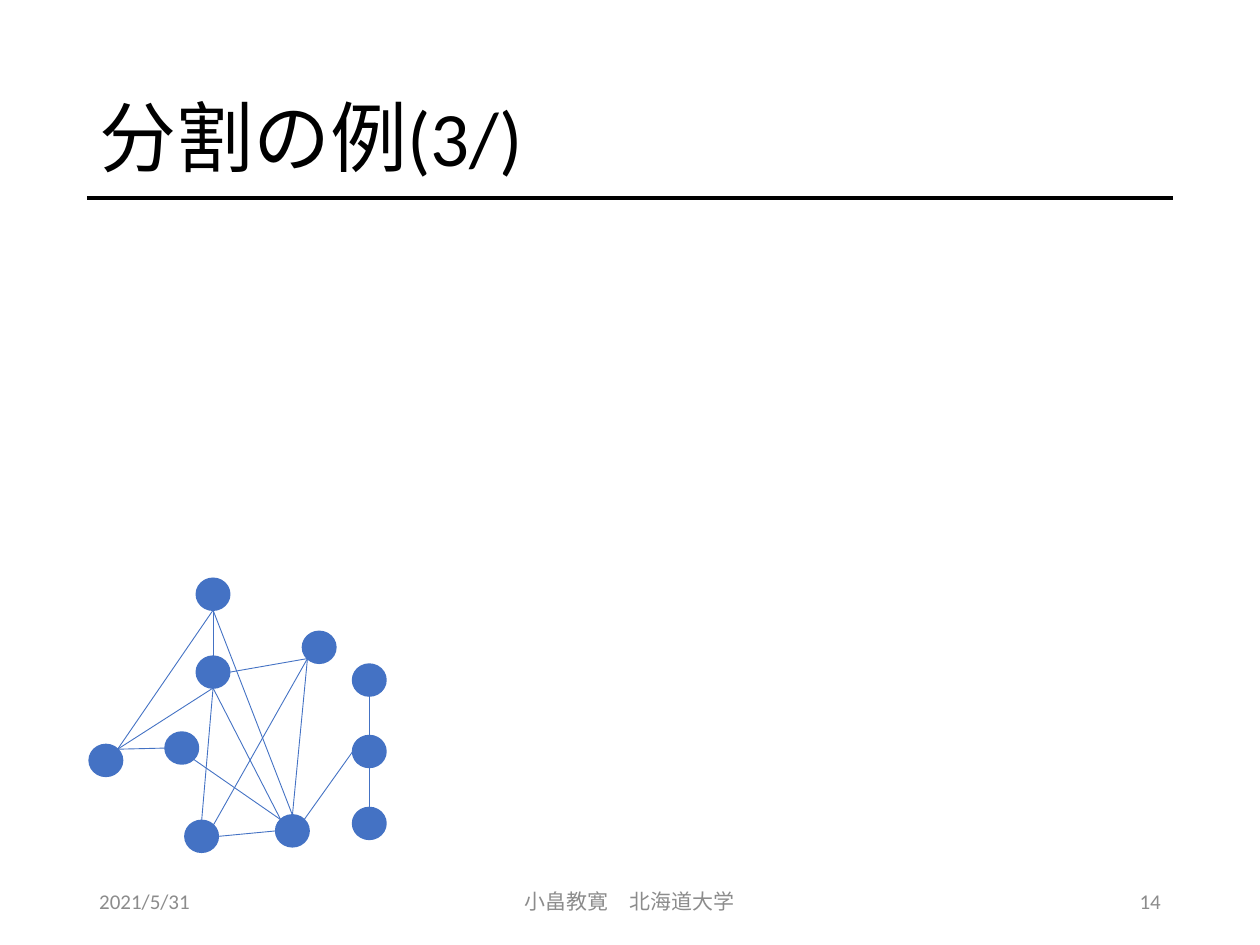
import math

import pptx
import pptx.dml.color
import pptx.enum.shapes
import pptx.enum.text
import pptx.oxml
import pptx.util

Cm, Pt = pptx.util.Cm, pptx.util.Pt
Align = pptx.enum.text.PP_ALIGN
BLUE, BLACK, GREY = "4472C4", "000000", "8C8C8C"
WIDE, HIGH = 0.67, 0.64
LEFT, RIGHT = 1.75, 23.65

# Left and top of each node, in cm
NODES = {
    "a": (1.8, 15.01), "b": (3.96, 11.66), "c": (3.96, 13.23),
    "d": (3.33, 14.76), "e": (3.73, 16.54), "f": (5.56, 16.43),
    "g": (6.1, 12.73), "h": (7.11, 14.83), "i": (7.11, 13.39),
    "j": (7.11, 16.28),
}
# Node and site at both ends; sites run anticlockwise from the top
EDGES = ("b4-a7 c4-a7 d2-a7 b4-c0 f1-d5 e0-c4 e6-f2 f1-c4 "
         "f0-b4 g3-c6 g3-e7 g3-f0 h2-f7 i4-h0 j0-h4").split()


def color(code):
    return pptx.dml.color.RGBColor.from_string(code)


def site(end):
    """Return the point on a node's rim for a name such as 'b4'."""
    x, y = NODES[end[0]]
    turn = math.radians(90 + 45 * int(end[1]))
    return (x + WIDE / 2 * (1 + math.cos(turn)),
            y + HIGH / 2 * (1 - math.sin(turn)))


class Page:
    def __init__(self, slide, font):
        self.slide = slide
        self.font = font

    def group(self):
        return self.slide.shapes.add_group_shape().shapes

    def text(self, words, box, size, code, align=Align.LEFT, lead=1.0):
        shape = self.slide.shapes.add_textbox(*map(Cm, box))
        frame = shape.text_frame
        frame.word_wrap = True
        frame.vertical_anchor = pptx.enum.text.MSO_ANCHOR.MIDDLE
        para = frame.paragraphs[0]
        para.alignment, para.line_spacing = align, lead
        run = para.add_run()
        run.text = words
        for key, value in {"name": self.font, "size": Pt(size)}.items():
            setattr(run.font, key, value)
        run.font.color.rgb = color(code)

    def line(self, start, end, code, width, shapes=None):
        if shapes is None:
            shapes = self.slide.shapes
        kind = pptx.enum.shapes.MSO_CONNECTOR.STRAIGHT
        link = shapes.add_connector(kind, *map(Cm, (*start, *end)))
        link.line.color.rgb = color(code)
        link.line.width = Pt(width)
        props = link._element.spPr
        props.append(pptx.oxml.parse_xml(
            '<a:effectLst xmlns:a="http://schemas.openxmlformats.org/'
            'drawingml/2006/main"/>'))

    def node(self, spot, code, shapes):
        kind = pptx.enum.shapes.MSO_SHAPE.OVAL
        dot = shapes.add_shape(kind, *map(Cm, (*spot, WIDE, HIGH)))
        dot.shadow.inherit = False
        dot.fill.solid()
        dot.fill.fore_color.rgb = color(code)
        dot.line.color.rgb = color(code)
        dot.line.width = Pt(1)


def main():
    deck = pptx.Presentation()
    deck.slide_width, deck.slide_height = Cm(25.4), Cm(19.05)
    page = Page(deck.slides.add_slide(deck.slide_layouts[6]), "Calibri")

    page.line((LEFT, 3.99), (RIGHT, 3.99), BLACK, 2)
    page.text("分割の例(3/)", (LEFT, 1.02, RIGHT - LEFT, 3.68),
              44, BLACK, lead=0.9)
    for words, left, width, align in (
            ("2021/5/31", LEFT, 5.72, Align.LEFT),
            ("小畠教寛　北海道大学", 8.41, 8.58, Align.CENTER),
            ("14", RIGHT - 5.72, 5.72, Align.RIGHT)):
        page.text(words, (left, 17.65, width, 1.02), 12, GREY, align)

    graph = page.group()
    for spot in NODES.values():
        page.node(spot, BLUE, graph)
    for edge in EDGES:
        start, end = map(site, edge.split("-"))
        page.line(start, end, BLUE, 0.5, graph)

    deck.save("out.pptx")


if __name__ == "__main__":
    main()
